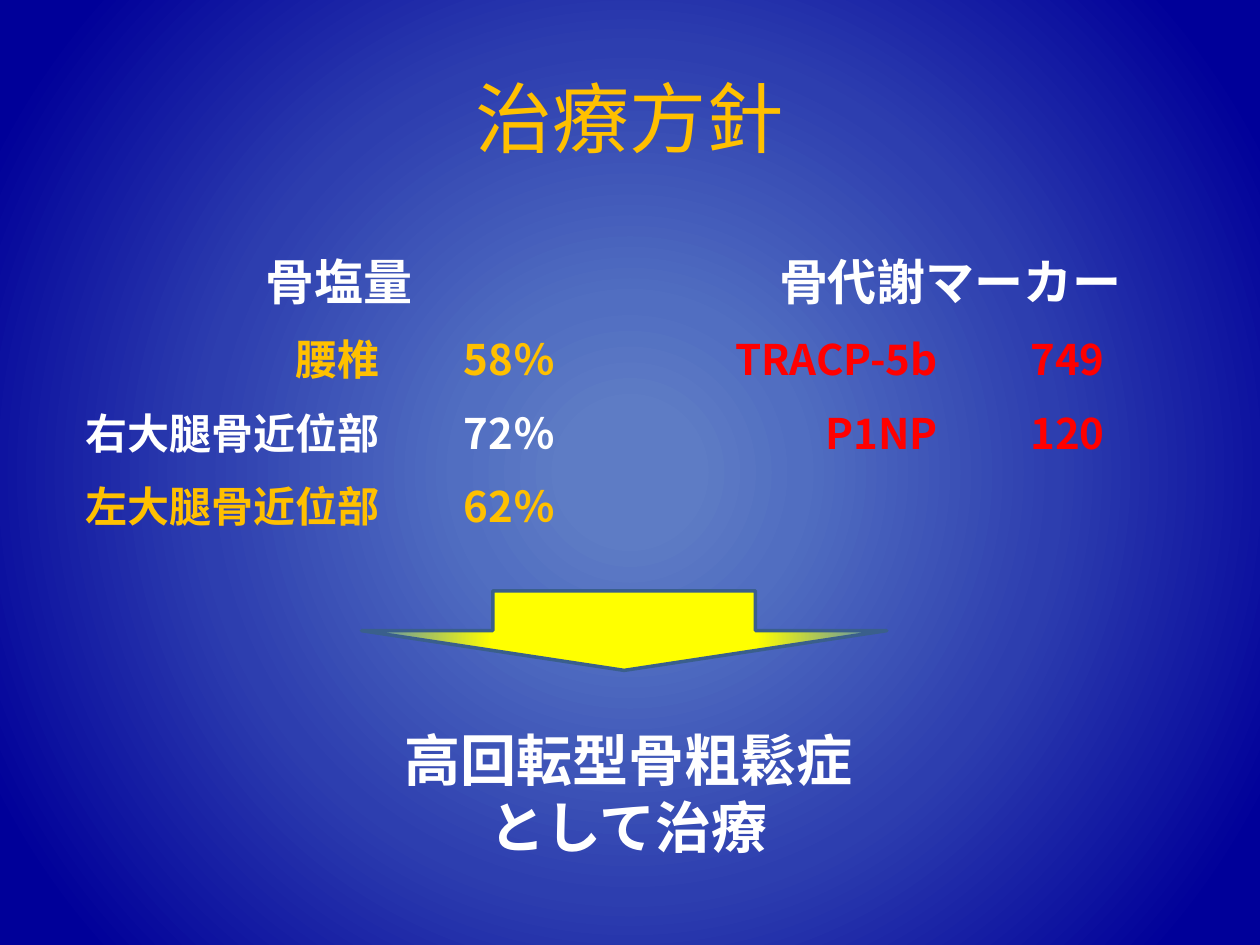
from dataclasses import dataclass

from lxml.etree import SubElement
from pptx import Presentation
from pptx.dml.color import RGBColor
from pptx.enum.shapes import MSO_SHAPE
from pptx.enum.text import MSO_ANCHOR as Anchor, MSO_AUTO_SIZE as AutoSize, PP_ALIGN as Align
from pptx.oxml.ns import qn
from pptx.util import Pt

COLORS = {
    "white": "FFFFFF",
    "amber": "FFC000",
    "red": "FF0000",
    "yellow": "FFFF00",
    "arrow_edge": "4780C5",
    "arrow_line": "3A5F8C",
    "glow": "5E7CC5",
    "inner": "516EC1",
    "outer": "2D3EAF",
    "navy": "000099",
}
SERIF = "TeX Gyre Schola"
SANS = "Noto Sans CJK JP"
NO_GRID_STYLE = "{2D5ABB26-0587-4C30-8999-92F81FD0307C}"
ROW_HEIGHT = 29.5


@dataclass
class Style:
    font: str
    size: float
    color: str
    bold: bool = True


@dataclass
class Box:
    left: float
    top: float
    width: float
    height: float

    def lengths(self) -> list:
        return [Pt(v) for v in (self.left, self.top, self.width, self.height)]


@dataclass
class Measure:
    label: str
    value: str
    color: str


@dataclass
class Panel:
    heading: str
    left: float
    columns: tuple[float, float]
    measures: list[Measure]


def rgb(name: str) -> RGBColor:
    return RGBColor.from_string(COLORS[name])


def add_run(paragraph, words: str, style: Style, align) -> None:
    paragraph.alignment = align
    run = paragraph.add_run()
    run.text = words
    run.font.size = Pt(style.size)
    run.font.bold = style.bold
    run.font.color.rgb = rgb(style.color)
    run.font.name = style.font
    # Japanese glyphs use the East Asian typeface
    SubElement(run.font._element, qn("a:ea"), typeface=style.font)


def set_radial_fill(fill, owner, stops: list[tuple[int, str]]) -> None:
    fill.gradient()
    gradient = owner.find(".//" + qn("a:gradFill"))
    for child in list(gradient):
        gradient.remove(child)
    stop_list = SubElement(gradient, qn("a:gsLst"))
    for percent, color in stops:
        stop = SubElement(stop_list, qn("a:gs"), pos=str(percent * 1000))
        SubElement(stop, qn("a:srgbClr"), val=COLORS[color])
    circle = SubElement(gradient, qn("a:path"), path="circle")
    SubElement(circle, qn("a:fillToRect"), dict.fromkeys("ltrb", "50000"))


def add_text(slide, box: Box, lines: list[str], style: Style, anchor, auto_size) -> None:
    frame = slide.shapes.add_textbox(*box.lengths()).text_frame
    frame.word_wrap = True
    frame.auto_size = auto_size
    frame.vertical_anchor = anchor
    for index, line in enumerate(lines):
        paragraph = frame.add_paragraph() if index else frame.paragraphs[0]
        add_run(paragraph, line, style, Align.CENTER)


def add_panel(slide, panel: Panel) -> None:
    row_count = len(panel.measures) + 1
    box = Box(panel.left, 135.5, sum(panel.columns), ROW_HEIGHT * row_count)
    table = slide.shapes.add_table(row_count, 2, *box.lengths()).table
    table.first_row = table.horz_banding = False
    table._tbl.tblPr.find(qn("a:tableStyleId")).text = NO_GRID_STYLE
    for column, width in zip(table.columns, panel.columns):
        column.width = Pt(width)
    for cell in table.iter_cells():
        cell.fill.background()

    # Heading across both columns
    table.cell(0, 0).merge(table.cell(0, 1))
    add_run(table.cell(0, 0).text_frame.paragraphs[0], panel.heading,
            Style(SANS, 28, "white"), Align.CENTER)

    # Label and value of each measure
    for row, measure in enumerate(panel.measures, start=1):
        style = Style(SANS, 24, measure.color)
        cells = ((measure.label, Align.RIGHT), (measure.value, Align.CENTER))
        for column, (words, align) in enumerate(cells):
            add_run(table.cell(row, column).text_frame.paragraphs[0], words, style, align)


def add_arrow(slide, box: Box) -> None:
    arrow = slide.shapes.add_shape(MSO_SHAPE.DOWN_ARROW, *box.lengths())
    arrow.shadow.inherit = False
    set_radial_fill(arrow.fill, arrow._element, [(50, "yellow"), (100, "arrow_edge")])
    arrow.line.color.rgb = rgb("arrow_line")
    arrow.line.width = Pt(2)


PANELS = [
    Panel("骨塩量", 29.5, (194.5, 134), [
        Measure("腰椎", "58％", "amber"),
        Measure("右大腿骨近位部", "72％", "white"),
        Measure("左大腿骨近位部", "62％", "amber"),
    ]),
    Panel("骨代謝マーカー", 409, (134, 134), [
        Measure("TRACP-5b", "749", "red"),
        Measure("P1NP", "120", "red"),
    ]),
]


def main() -> None:
    deck = Presentation()
    deck.slide_width, deck.slide_height = Pt(720), Pt(540)
    slide = deck.slides.add_slide(deck.slide_layouts[6])

    # Background glow
    set_radial_fill(slide.background.fill, slide._element,
                    [(8, "glow"), (22, "inner"), (54, "outer"), (91, "navy")])

    # Title
    add_text(slide, Box(36, 21.6, 648, 90), ["治療方針"],
             Style(SERIF, 44, "amber", bold=False), Anchor.MIDDLE, AutoSize.NONE)

    # Test results
    for panel in PANELS:
        add_panel(slide, panel)

    # Conclusion
    add_arrow(slide, Box(206.6, 337.7, 300.2, 45.4))
    add_text(slide, Box(141, 411, 436.5, 85), ["高回転型骨粗鬆症", "として治療"],
             Style(SERIF, 32, "white"), Anchor.TOP, AutoSize.SHAPE_TO_FIT_TEXT)

    deck.save("out.pptx")


if __name__ == "__main__":
    main()
